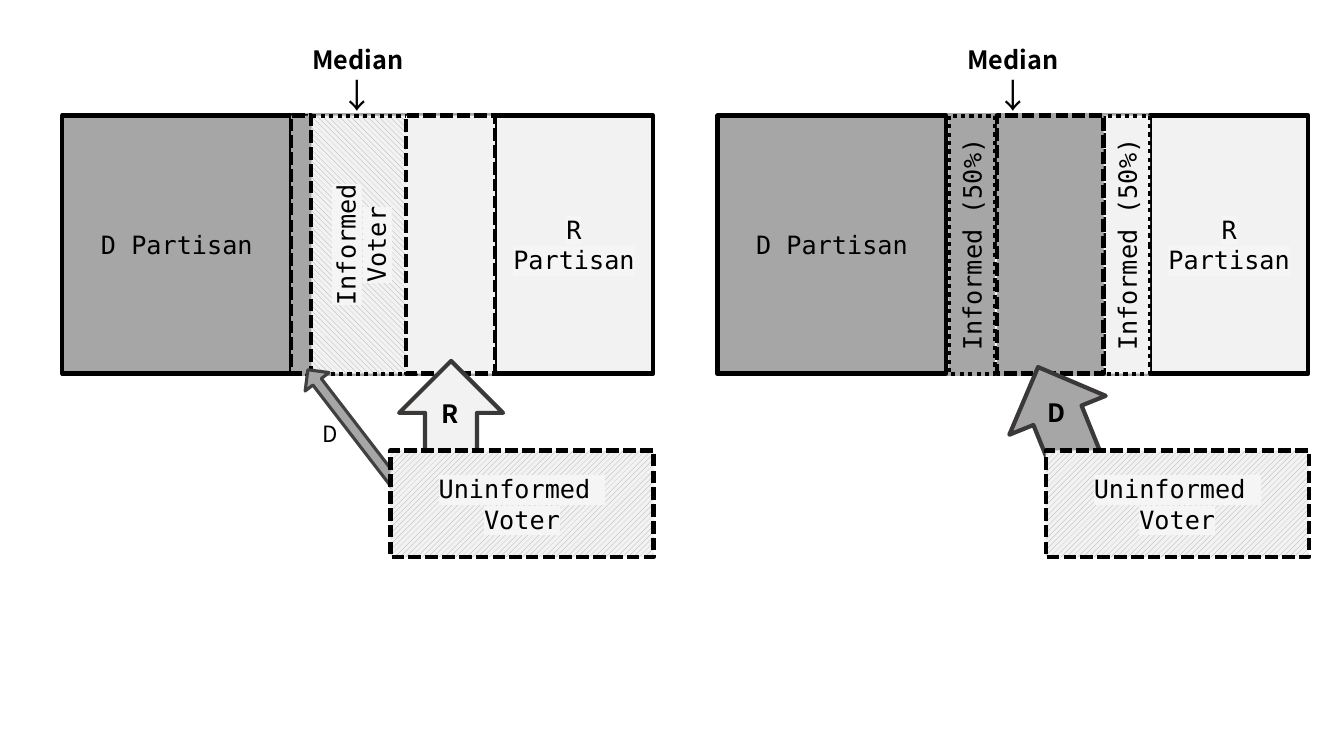
from lxml.etree import SubElement
from pptx import Presentation
from pptx.dml.color import RGBColor
from pptx.enum.dml import MSO_LINE, MSO_PATTERN
from pptx.enum.shapes import MSO_SHAPE
from pptx.enum.text import MSO_ANCHOR, PP_ALIGN
from pptx.oxml.ns import qn
from pptx.util import Pt

THEME = {
    "dem": "A6A6A6", "rep": "F2F2F2", "white": "FFFFFF", "ink": "000000",
    "thin_edge": "404040", "wide_edge": "3B3838", "highlight": "F5F5F5",
    "mono": "DejaVu Sans Mono", "sans": "Noto Sans CJK JP",
    "small": 16, "body": 18, "symbol": 24, "thin": 2.25, "line": 3,
}
DOTTED, DASHED = MSO_LINE.ROUND_DOT, MSO_LINE.SQUARE_DOT
DOWN_HATCH = MSO_PATTERN.WIDE_DOWNWARD_DIAGONAL
UP_HATCH = MSO_PATTERN.WIDE_UPWARD_DIAGONAL

# Content: x positions are measured from the left edge of each panel
BAR_TOP, BAR_HEIGHT = 82.6, 184.3
FRAMES = [(173.5, 248.4), (0, 211)]
PARTISANS = [
    (0, 163.4, "dem", ["D Partisan"], False),
    (308.9, 113, "rep", ["R Partisan"], True),
]
MEDIAN = (169.2, 28.1, 83.5, 54.7)
UNINFORMED = (234.3, 321.8, 188, 76.3)
PANELS = [
    {
        "left": 44.6,
        "informed": [(173.5, 79.2, DOWN_HATCH, ["Informed", "Voter"], True)],
        "swing": [(245.5, 63.4, "rep"), (163.4, 14.4, "dem")],
        "arrows": [
            ((152.6, 299.5, 116.6, 21.6), 232.4, "dem", "thin_edge", "thin", 0.35),
            ((236.2, 262.1, 82.8, 74.2), 270, "rep", "wide_edge", "line", 0.5),
        ],
        "labels": [
            ("D", (178.6, 296.6, 35.3, 26.6), "small", False),
            ("R", (263.5, 280.8, 38.2, 28.8), "body", True),
        ],
    },
    {
        "left": 512.6,
        "informed": [
            (164.9, 33.1, "dem", ["Informed (50%)"], False),
            (275.8, 33.1, "rep", ["Informed (50%)"], False),
        ],
        "swing": [(199.4, 76.3, "dem")],
        "arrows": [
            ((203, 263.5, 82.8, 74.2), 248, "dem", "wide_edge", "line", 0.5),
        ],
        "labels": [("D", (228.2, 280.1, 38.9, 28.8), "body", True)],
    },
]


def color(role):
    return RGBColor.from_string(THEME[role])


def write(frame, lines, align=PP_ALIGN.CENTER, highlighted=False):
    """Each line is (text, font role, size role, bold)."""
    frame.word_wrap = True
    for index, (text, face, size, bold) in enumerate(lines):
        paragraph = frame.add_paragraph() if index else frame.paragraphs[0]
        paragraph.alignment = align
        run = paragraph.add_run()
        run.text = text
        formats = {"name": THEME[face], "size": Pt(THEME[size]), "bold": bold}
        for attribute, value in formats.items():
            setattr(run.font, attribute, value)
        run.font.color.rgb = color("ink")
        properties = run.font._element
        latin = properties.find(qn("a:latin"))
        east_asian = SubElement(properties, qn("a:ea"), typeface=THEME[face])
        latin.addnext(east_asian)
        if highlighted:
            highlight = SubElement(properties, qn("a:highlight"))
            SubElement(highlight, qn("a:srgbClr"), val=THEME["highlight"])
            latin.addprevious(highlight)


def draw(kind, box, fill, edge="ink", weight="line", dash=None, rotation=0):
    shape = slide.shapes.add_shape(kind, *map(Pt, box))
    shape.shadow.inherit = False
    shape.rotation = rotation
    if fill in THEME:
        shape.fill.solid()
        shape.fill.fore_color.rgb = color(fill)
    else:
        shape.fill.patterned()
        shape.fill.pattern = fill
        shape.fill.fore_color.rgb = color("dem")
        shape.fill.back_color.rgb = color("rep")
    shape.line.color.rgb = color(edge)
    formats = {"width": Pt(THEME[weight]), "dash_style": dash}
    for attribute, value in formats.items():
        setattr(shape.line, attribute, value)
    return shape


def draw_block(box, fill, texts=(), highlighted=False, **look):
    block = draw(MSO_SHAPE.RECTANGLE, box, fill, **look)
    block.text_frame.vertical_anchor = MSO_ANCHOR.MIDDLE
    lines = [(text, "mono", "body", False) for text in texts]
    write(block.text_frame, lines, highlighted=highlighted)


def add_label(box, lines, align):
    write(slide.shapes.add_textbox(*map(Pt, box)).text_frame, lines, align)


def upright(x, width):
    """Box that fills the bar from x to x + width once turned by 270 degrees."""
    shift = (BAR_HEIGHT - width) / 2
    return x - shift, BAR_TOP + shift, BAR_HEIGHT, width


presentation = Presentation()
presentation.slide_width, presentation.slide_height = Pt(960), Pt(540)
slide = presentation.slides.add_slide(presentation.slide_layouts[6])

for panel in PANELS:
    def place(box):
        return panel["left"] + box[0], *box[1:]

    def bar_part(x, width):
        return place((x, BAR_TOP, width, BAR_HEIGHT))

    # Bar of voters with the partisans at both ends
    for x, width in FRAMES:
        draw_block(bar_part(x, width), "white", edge="dem")
    for x, width, fill, texts, highlighted in PARTISANS:
        draw_block(bar_part(x, width), fill, texts, highlighted)

    # Median marker
    add_label(place(MEDIAN), [("Median", "sans", "body", True),
                              ("↓", "sans", "symbol", False)], PP_ALIGN.CENTER)

    # Informed and swing voters in the middle of the bar
    for x, width, fill, texts, highlighted in panel["informed"]:
        draw_block(place(upright(x, width)), fill, texts, highlighted,
                   dash=DOTTED, rotation=270)
    for x, width, fill in panel["swing"]:
        draw_block(bar_part(x, width), fill, dash=DASHED)

    # Uninformed voters and the arrows they send to the bar
    for box, angle, fill, edge, weight, shaft in panel["arrows"]:
        arrow = draw(MSO_SHAPE.RIGHT_ARROW, place(box), fill, edge, weight,
                     rotation=angle)
        arrow.adjustments[0] = shaft
    draw_block(place(UNINFORMED), UP_HATCH, ["Uninformed ", "Voter"], True,
               dash=DASHED)
    for text, box, size, bold in panel["labels"]:
        add_label(place(box), [(text, "sans", size, bold)], PP_ALIGN.LEFT)

presentation.save("out.pptx")
